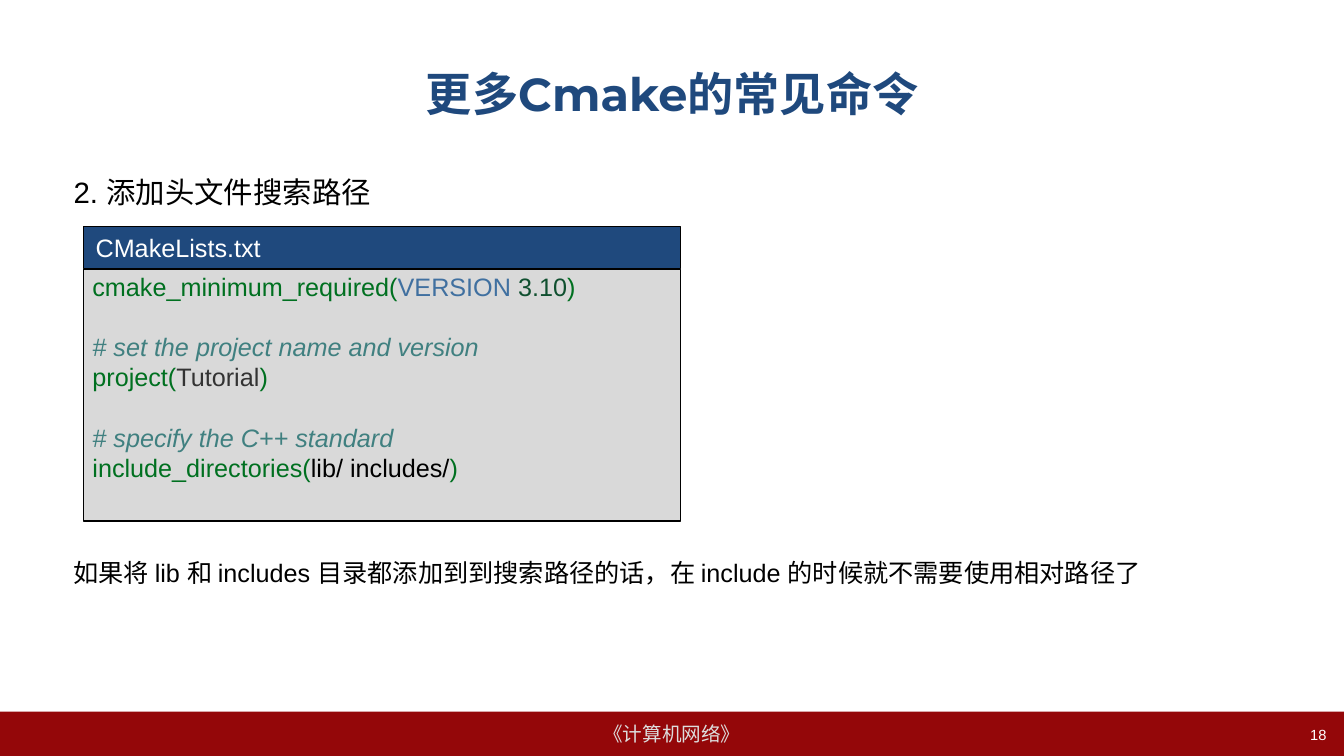
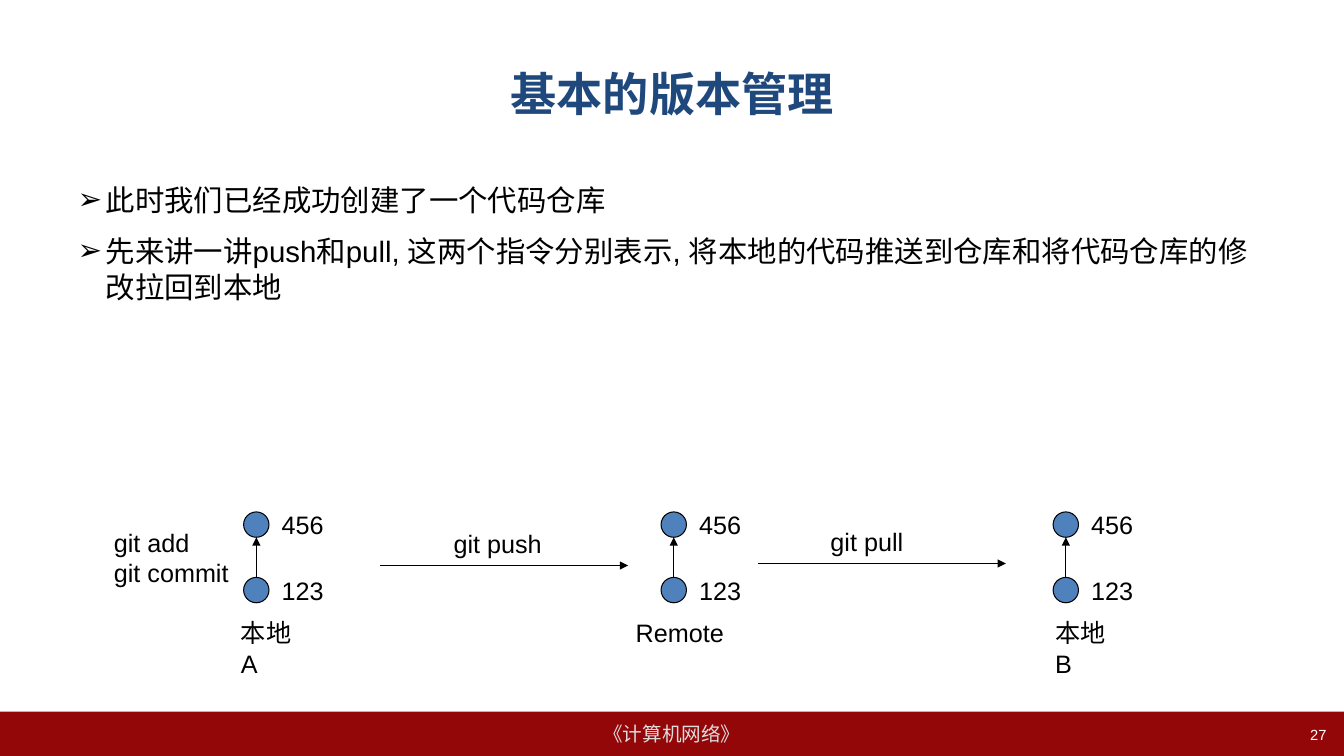
from pptx import Presentation
from pptx.dml.color import RGBColor
from pptx.enum.shapes import MSO_CONNECTOR, MSO_SHAPE
from pptx.enum.text import MSO_ANCHOR, MSO_AUTO_SIZE, PP_ALIGN
from pptx.util import Cm, Pt
from lxml.etree import SubElement
from pptx.oxml.ns import qn

NAVY = RGBColor(0x1F, 0x49, 0x7D)
RED = RGBColor(0x94, 0x07, 0x09)
PALE = RGBColor(0xDD, 0xDD, 0xDD)
GREY = RGBColor(0xD9, 0xD9, 0xD9)
BLUE = RGBColor(0x4F, 0x81, 0xBD)
BLACK = RGBColor(0, 0, 0)
WHITE = RGBColor(0xFF, 0xFF, 0xFF)
GREEN = RGBColor(0x00, 0x70, 0x20)
STEEL = RGBColor(0x40, 0x70, 0xA0)
PINE = RGBColor(0x10, 0x50, 0x30)
TEAL = RGBColor(0x40, 0x80, 0x80)
DARK = RGBColor(0x33, 0x33, 0x33)

WIDE, HIGH = 33.87, 19.05
BAND = (0, 17.93, WIDE, 1.12)
TITLE = (1.7, 0.76, 30.48, 3.18)
COURSE = "《计算机网络》"
LINE = 21.6

CMAKE = {
    "title": "更多Cmake的常见命令", "page": "18", "at": (1.47, 4.24, 30.48, 13.44),
    "body": [("2. 添加头文件搜索路径", 21, 0),
             ("如果将 lib 和 includes 目录都添加到到搜索路径的话，在 include 的时候就不需要使用相对路径了", 18, 248)],
    "mark": None, "indent": (0.13, 0),
}
GIT = {
    "title": "基本的版本管理", "page": "27", "at": (1.7, 4.45, 30.48, 12.57),
    "body": [("此时我们已经成功创建了一个代码仓库", 21, 0),
             ("先来讲一讲push和pull, 这两个指令分别表示, 将本地的代码推送到仓库和将代码仓库的修改拉回到本地", 21, 10.5)],
    "mark": "➢", "indent": (0.71, -0.71),
}
FILE = "CMakeLists.txt"
CODE = [
    (0, [("cmake_minimum_required(", GREEN), ("VERSION ", STEEL), ("3.10", PINE), (")", GREEN)]),
    (1, [("# set the project name and version", TEAL)]),
    (0, [("project(", GREEN), ("Tutorial", DARK), (")", GREEN)]),
    (1, [("# specify the C++ standard", TEAL)]),
    (0, [("include_directories(", GREEN), ("lib/ includes/", BLACK), (")", GREEN)]),
]
REPOS = [(6.14, "本地A", 5.82, 2.1), (16.66, "Remote", 15.77, 3), (26.54, "本地B", 26.34, 2.1)]
NODES = [("456", 12.9), ("123", 14.55)]
DOT = 0.64
STEPS = [(["git push"], 11.18, 13.18), (["git pull"], 20.68, 13.13),
         (["git add", "git commit"], 2.62, 13.16)]
ARROWS = [(9.58, 14.25), (19.1, 14.2)]
REACH = 6.25


def place(at):
    return [Cm(v) for v in at]


def add_run(para, text, size=18, color=BLACK, **more):
    run = para.add_run()
    run.text = text
    style = {"name": "Arial", "size": Pt(size), **more}
    for key, value in style.items():
        setattr(run.font, key, value)
    run.font.color.rgb = color


def next_para(frame, first):
    return frame.paragraphs[0] if first else frame.add_paragraph()


def set_frame(frame, **more):
    style = {"word_wrap": True, "auto_size": MSO_AUTO_SIZE.NONE, **more}
    for key, value in style.items():
        setattr(frame, key, value)


def add_box(slide, kind, at, fill, edge=True):
    shape = slide.shapes.add_shape(kind, *place(at))
    shape.shadow.inherit = False
    shape.fill.solid()
    shape.fill.fore_color.rgb = fill
    if edge:
        shape.line.color.rgb = BLACK
        shape.line.width = Pt(0.75)
    else:
        shape.line.fill.background()
    return shape


def add_label(slide, lines, at, size=18, color=BLACK, align=PP_ALIGN.LEFT):
    frame = slide.shapes.add_textbox(*place(at)).text_frame
    set_frame(frame)
    for i, text in enumerate(lines):
        para = next_para(frame, i == 0)
        para.alignment = align
        if len(lines) > 1:
            para.line_spacing = Pt(LINE)
        add_run(para, text, size, color)


def add_arrow(slide, start, end):
    line = slide.shapes.add_connector(MSO_CONNECTOR.STRAIGHT, *place(start + end))
    line.line.color.rgb = BLACK
    line.line.width = Pt(0.75)
    SubElement(line.line._get_or_add_ln(), qn("a:tailEnd"), type="triangle")
    SubElement(line.element.spPr, qn("a:effectLst"))
    return line


def add_band(deck, slide):
    band = add_box(slide, MSO_SHAPE.RECTANGLE, BAND, RED, False)
    set_frame(band.text_frame, vertical_anchor=MSO_ANCHOR.MIDDLE)
    para = band.text_frame.paragraphs[0]
    para.alignment = PP_ALIGN.CENTER
    add_run(para, COURSE, 14, PALE)
    deck.slide_master.shapes.element.insert(2, band.element)


def set_place(shape, at):
    for key, value in zip(("left", "top", "width", "height"), place(at)):
        setattr(shape, key, value)


def add_slide(deck, data):
    slide = deck.slides.add_slide(deck.slide_layouts[1])
    title, body = slide.placeholders
    set_frame(title.text_frame, vertical_anchor=MSO_ANCHOR.MIDDLE)
    para = title.text_frame.paragraphs[0]
    para.alignment = PP_ALIGN.CENTER
    add_run(para, data["title"], 33, NAVY, name="Montserrat", bold=True)
    set_place(body, data["at"])
    set_frame(body.text_frame)
    left, hang = data["indent"]
    for i, (text, size, gap) in enumerate(data["body"]):
        para = next_para(body.text_frame, i == 0)
        para.space_before = Pt(gap)
        para.line_spacing = Pt(size * 1.22)
        add_run(para, text, size)
        props = para._p.get_or_add_pPr()
        props.set("marL", str(Cm(left)))
        props.set("indent", str(Cm(hang)))
        if data["mark"]:
            SubElement(props, qn("a:buChar"), char=data["mark"])
        else:
            SubElement(props, qn("a:buNone"))
    add_label(slide, [data["page"]], (25.78, 18.16, 7.9, 0.89), 10.5, WHITE, PP_ALIGN.RIGHT)
    return slide


def draw_code(slide):
    panel = add_box(slide, MSO_SHAPE.RECTANGLE, (2.11, 6.78, 15.04, 6.35), GREY)
    frame = panel.text_frame
    set_frame(frame, vertical_anchor=MSO_ANCHOR.TOP, margin_left=Cm(0.22), margin_top=Cm(0.05))
    for i, (gap, runs) in enumerate(CODE):
        para = next_para(frame, i == 0)
        para.alignment = PP_ALIGN.LEFT
        para.line_spacing = Pt(LINE)
        para.space_before = Pt(gap * LINE)
        for text, color in runs:
            add_run(para, text, 18, color, italic=color == TEAL)
    head = add_box(slide, MSO_SHAPE.RECTANGLE, (2.11, 5.72, 15.04, 1.04), NAVY)
    set_frame(head.text_frame, vertical_anchor=MSO_ANCHOR.MIDDLE, margin_left=Cm(0.3))
    para = head.text_frame.paragraphs[0]
    para.alignment = PP_ALIGN.LEFT
    add_run(para, FILE, 18, WHITE)


def draw_repos(slide):
    for x, name, left, width in REPOS:
        for text, y in NODES:
            dot = add_box(slide, MSO_SHAPE.OVAL, (x, y, DOT, DOT), BLUE)
            add_label(slide, [text], (x + 0.71, y - 0.18, 1.57, 1.02))
        mid = x + DOT / 2
        (_, top), (_, low) = NODES
        link = add_arrow(slide, (mid, low), (mid, top + DOT))
        link.begin_connect(dot, 0)
        add_label(slide, [name], (left, 15.44, width, 1.02))
    for lines, x, y in STEPS:
        add_label(slide, lines, (x, y, 3.6, 0.25 + 0.77 * len(lines)))
    for x, y in ARROWS:
        add_arrow(slide, (x, y), (x + REACH, y))


def main():
    deck = Presentation()
    deck.slide_width, deck.slide_height = Cm(WIDE), Cm(HIGH)
    set_place(deck.slide_layouts[1].placeholders[0], TITLE)
    cmake = add_slide(deck, CMAKE)
    add_band(deck, cmake)
    draw_code(cmake)
    draw_repos(add_slide(deck, GIT))
    deck.save("out.pptx")


if __name__ == "__main__":
    main()
